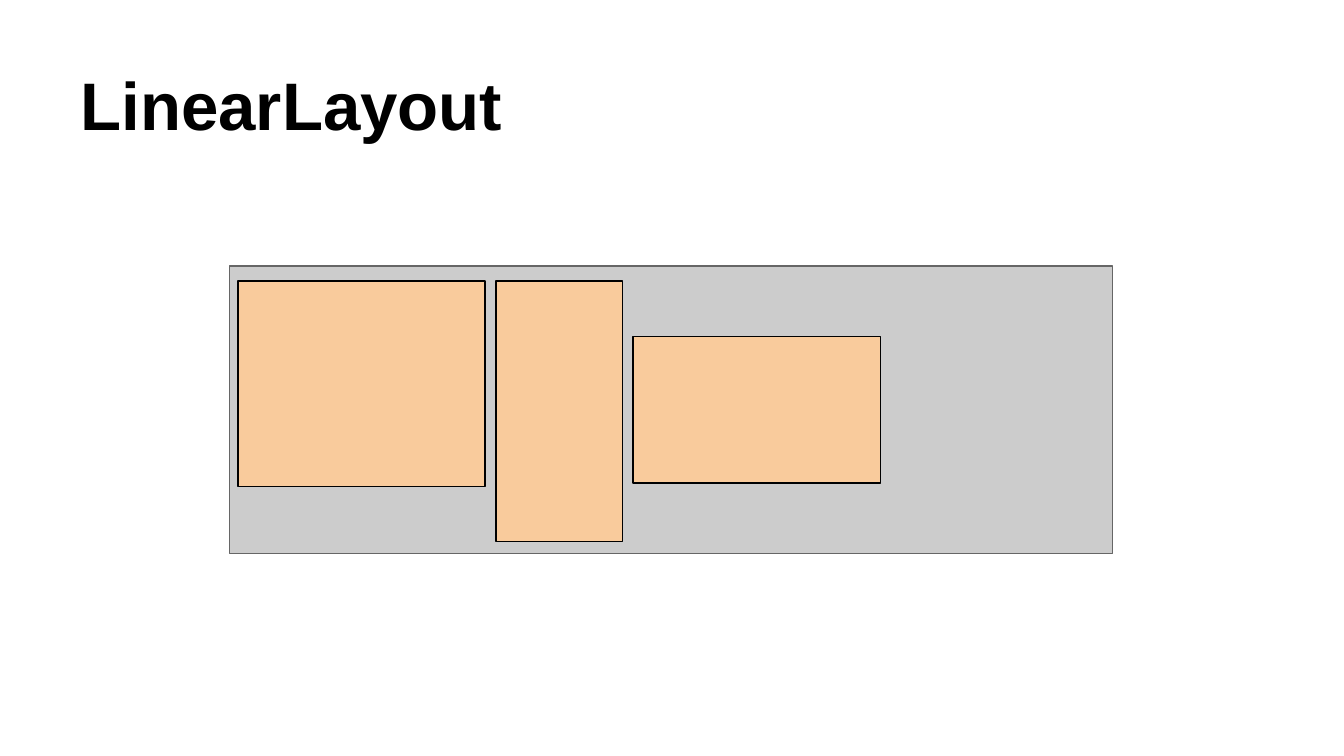
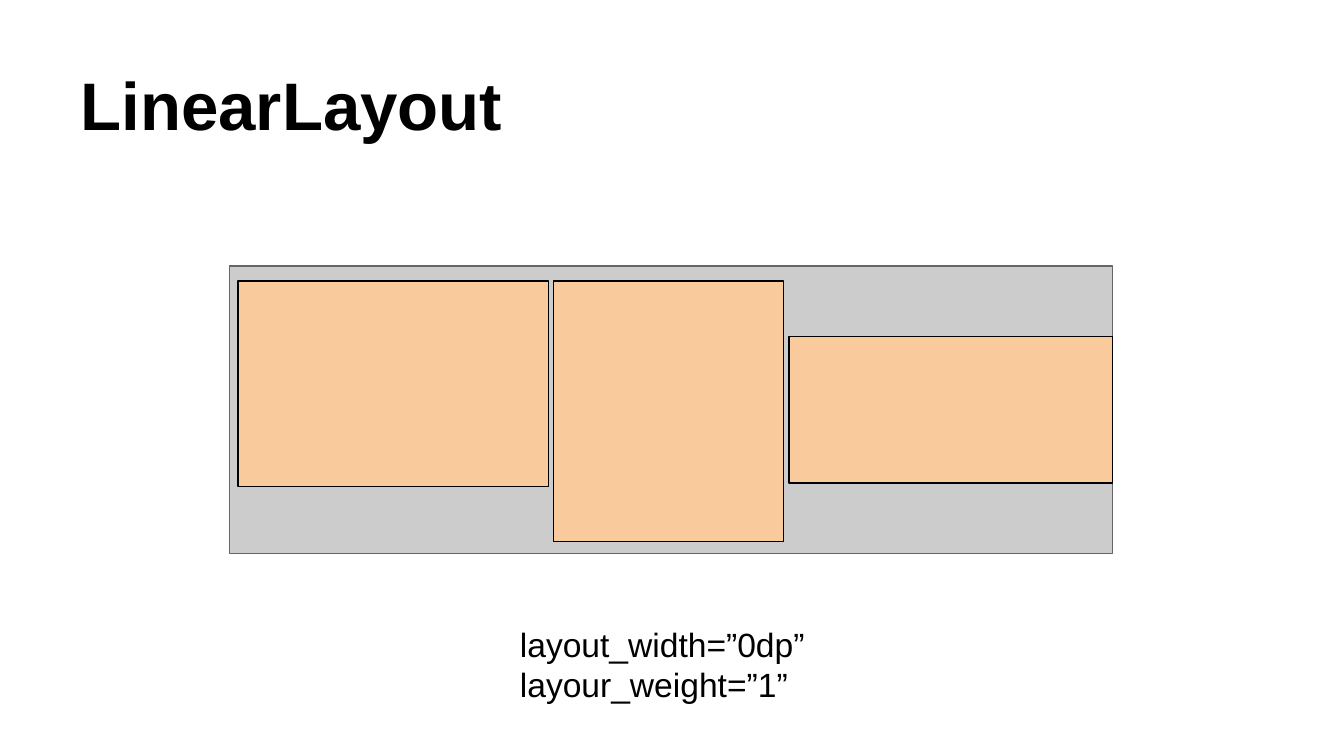
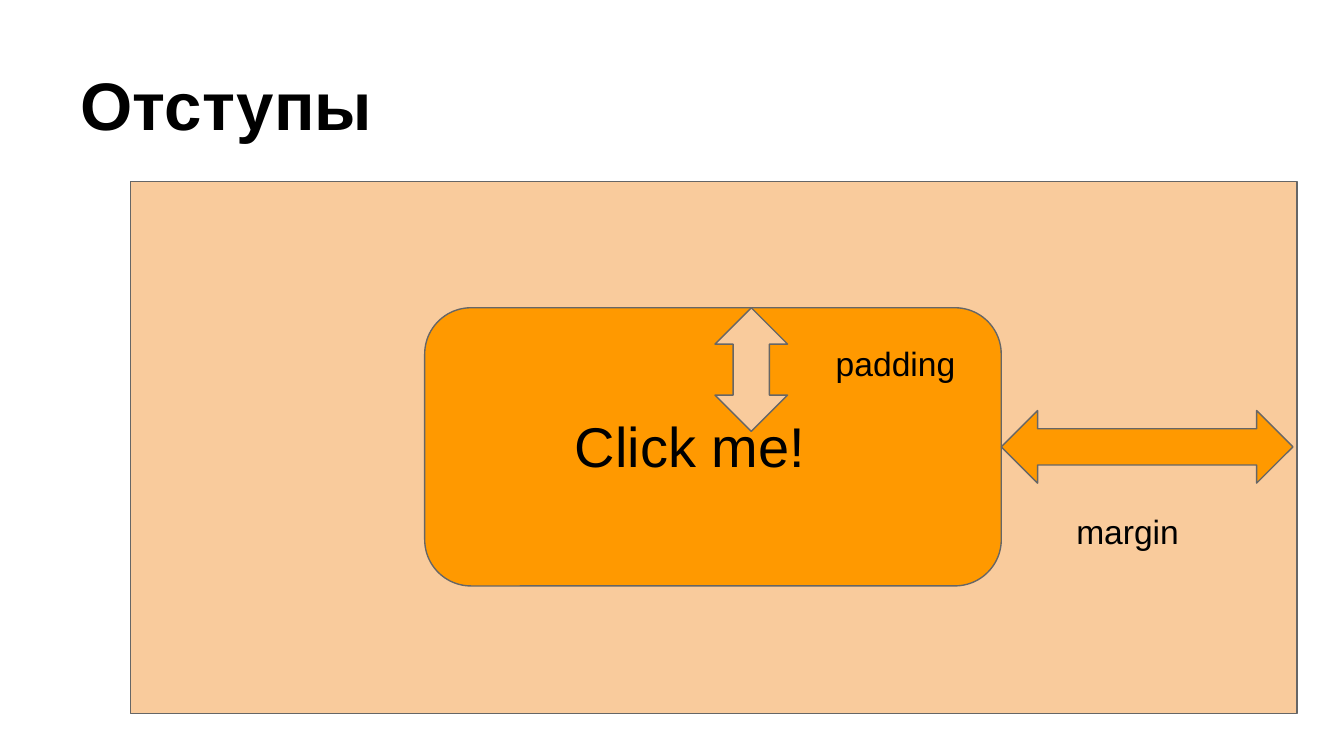
from pptx import Presentation
from pptx.dml.color import RGBColor
from pptx.enum.shapes import MSO_SHAPE
from pptx.enum.text import MSO_ANCHOR, MSO_AUTO_SIZE, PP_ALIGN
from pptx.util import Inches, Pt

RECTANGLE = MSO_SHAPE.RECTANGLE
ROUNDED = MSO_SHAPE.ROUNDED_RECTANGLE
ARROW = MSO_SHAPE.UP_DOWN_ARROW
LEFT = PP_ALIGN.LEFT
TOP, BOTTOM = MSO_ANCHOR.TOP, MSO_ANCHOR.BOTTOM
FIXED = MSO_AUTO_SIZE.NONE

COLORS = {
    "text": "000000",
    "panel": "CCCCCC",
    "edge": "666666",
    "peach": "F9CB9C",
    "orange": "FF9900",
}
FONT = "Arial"
TITLE_AREA = (0.5, 0.23, 9, 0.94)
TITLE_LAYOUT = 5


def add_block(page, kind, area, fill, line="edge"):
    block = page.shapes.add_shape(kind, *map(Inches, area))
    block.shadow.inherit = False
    block.fill.solid()
    block.fill.fore_color.rgb = RGBColor.from_string(COLORS[fill])
    block.line.color.rgb = RGBColor.from_string(COLORS[line])
    block.line.width = Pt(0.75)
    return block


def write_text(box, lines, size, bold=False, anchor=TOP):
    frame = box.text_frame
    frame.text = "\n".join(lines)
    frame_format = {
        "word_wrap": True,
        "auto_size": FIXED,
        "vertical_anchor": anchor,
        "margin_left": Inches(0.1),
        "margin_right": Inches(0.1),
        "margin_top": Inches(0.1),
        "margin_bottom": Inches(0.1),
    }
    for name, value in frame_format.items():
        setattr(frame, name, value)
    for para in frame.paragraphs:
        para.alignment = LEFT
        for span in para.runs:
            for name, value in {"name": FONT, "size": Pt(size), "bold": bold}.items():
                setattr(span.font, name, value)
            span.font.color.rgb = RGBColor.from_string(COLORS["text"])


deck = Presentation()
deck.slide_width = Inches(10)
deck.slide_height = deck.slide_width * 9 // 16

pages = []
for heading in ("LinearLayout", "LinearLayout", "Отступы"):
    page = deck.slides.add_slide(deck.slide_layouts[TITLE_LAYOUT])
    title = page.shapes.title
    title.left, title.top, title.width, title.height = map(Inches, TITLE_AREA)
    write_text(title, [heading], 36, bold=True, anchor=BOTTOM)
    pages.append(page)
natural_page, weighted_page, spacing_page = pages

panel_left, panel_top, panel_width, panel_height = 1.71, 1.98, 6.57, 2.14
inset_x, inset_y = 0.06, 0.11
child_heights = (1.53, 1.94, 1.09)
centered_child = 2

for page, child_widths, gap in (
    (natural_page, (1.84, 0.94, 1.84), 0.08),
    (weighted_page, (2.31, 1.71, 2.41), 0.04),
):
    add_block(page, RECTANGLE, (panel_left, panel_top, panel_width, panel_height), "panel")
    left = panel_left + inset_x
    for index, (width, height) in enumerate(zip(child_widths, child_heights)):
        offset = (panel_height - height) / 2 if index == centered_child else inset_y
        add_block(page, RECTANGLE, (left, panel_top + offset, width, height), "peach", "text")
        left += width + gap

attributes = weighted_page.shapes.add_textbox(*map(Inches, (3.77, 4.54, 2.46, 0.72)))
write_text(attributes, ["layout_width=”0dp”", "layour_weight=”1”"], 18)

button_left, button_top, button_width, button_height = 3.16, 2.29, 4.29, 2.07
arrow_width, margin_length = 0.54, 2.17
margin_left = button_left + button_width + (margin_length - arrow_width) / 2
margin_top = button_top + (button_height - margin_length) / 2

add_block(spacing_page, RECTANGLE, (0.97, 1.35, 8.68, 3.96), "peach")
add_block(spacing_page, ROUNDED, (button_left, button_top, button_width, button_height), "orange")

labels = (
    ("Click me!", (4.18, 2.96, 2.27, 0.73), 30),
    ("padding", (6.12, 2.45, 1.16, 0.52), 18),
    ("margin", (7.91, 3.7, 1.16, 0.52), 18),
)
arrows = {
    "padding": ((5.32, button_top, arrow_width, 0.92), "peach", 0),
    "margin": ((margin_left, margin_top, arrow_width, margin_length), "orange", 90),
}
for label, area, size in labels:
    if label in arrows:
        arrow_area, fill, angle = arrows[label]
        arrow = add_block(spacing_page, ARROW, arrow_area, fill)
        arrow.rotation = angle
    box = spacing_page.shapes.add_textbox(*map(Inches, area))
    write_text(box, [label], size)

deck.save("out.pptx")
